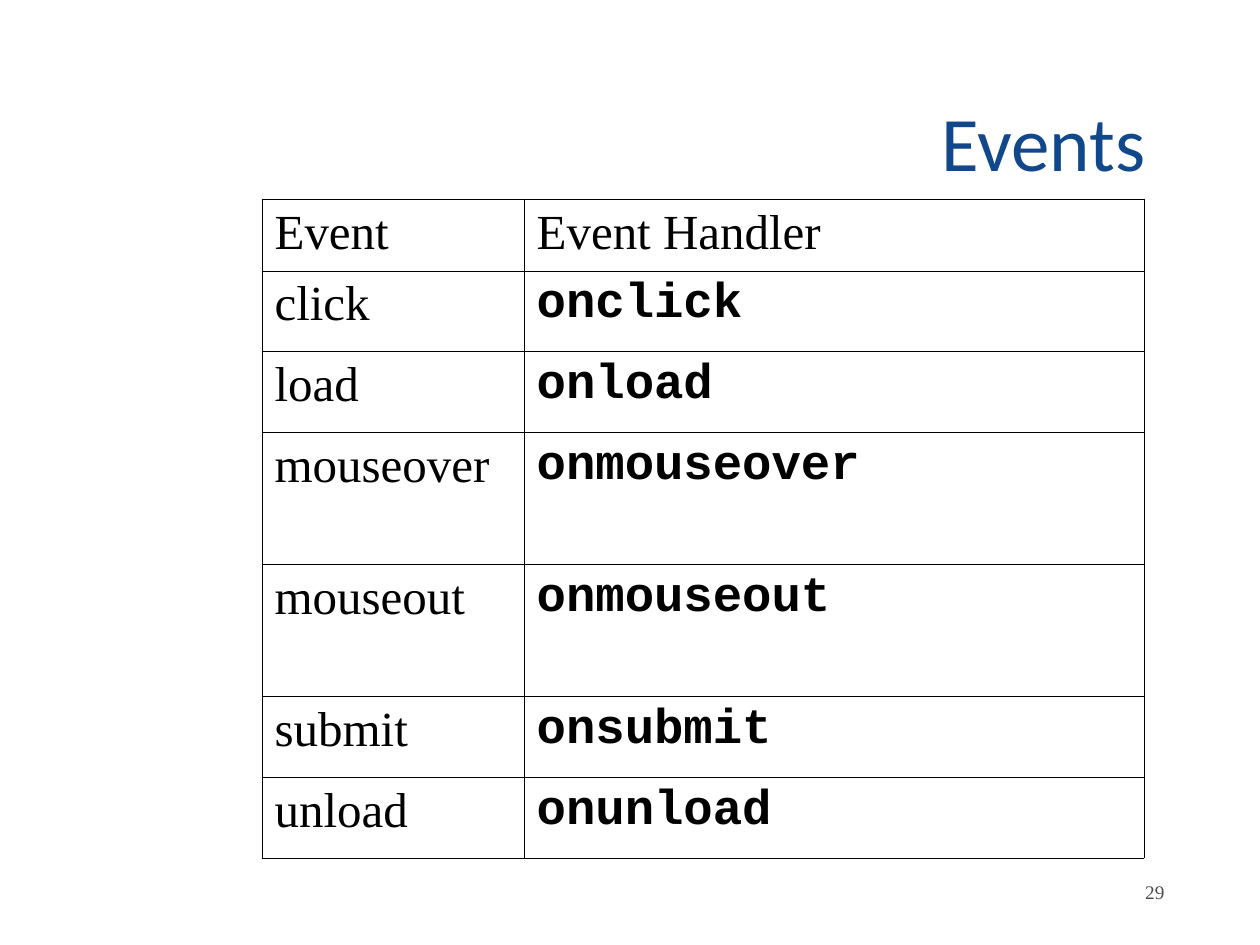
from dataclasses import dataclass

from lxml import etree
from pptx import Presentation
from pptx.dml.color import RGBColor
from pptx.enum import text
from pptx.oxml import ns
from pptx.util import Inches, Pt


@dataclass(frozen=True)
class Theme:
    title: RGBColor = RGBColor(0x11, 0x48, 0x8B)
    ink: RGBColor = RGBColor(0, 0, 0)
    muted: RGBColor = RGBColor(0x4D, 0x4D, 0x4D)
    sans: str = "Calibri"
    serif: str = "Times New Roman"
    mono: str = "Courier New"
    title_size: int = 44
    body_size: int = 28
    number_size: int = 11
    border: float = 0.45


THEME = Theme()
EVENTS = ["click", "load", "mouseover", "mouseout", "submit", "unload"]
COLUMN_WIDTHS = [2.08, 4.92]
HEADER_HEIGHT, ROW_HEIGHT, TALL_HEIGHT = 0.57, 0.64, 1.05
TALL_EVENTS = {"mouseover", "mouseout"}


def write(p, words, size, **font):
    r = p.add_run()
    r.text = words
    r.font.size = Pt(size)
    r.font.color.rgb = font.pop("color")
    for name, value in font.items():
        setattr(r.font, name, value)


def add_right_text(s, box, words, size, right_inset=0.1, **font):
    """Place one right-aligned line, vertically centred in its box."""
    tf = s.shapes.add_textbox(*map(Inches, box)).text_frame
    tf.word_wrap = True
    tf.vertical_anchor = text.MSO_ANCHOR.MIDDLE
    tf.margin_right = Inches(right_inset)
    p = tf.paragraphs[0]
    p.alignment = text.PP_ALIGN.RIGHT
    write(p, words, size, **font)


def add_borders(cell):
    """Line all four sides; borders must come before the cell's fill."""
    props = cell._tc.get_or_add_tcPr()
    for i, side in enumerate(("lnL", "lnR", "lnT", "lnB")):
        line = etree.Element(ns.qn(f"a:{side}"), w=str(Pt(THEME.border)))
        fill = etree.SubElement(line, ns.qn("a:solidFill"))
        etree.SubElement(fill, ns.qn("a:srgbClr"), val=str(THEME.ink))
        props.insert(i, line)


def add_event_table(s, box):
    rows = [("Event", "Event Handler")] + [(e, f"on{e}") for e in EVENTS]
    heights = [HEADER_HEIGHT] + [
        TALL_HEIGHT if e in TALL_EVENTS else ROW_HEIGHT for e in EVENTS]
    table = s.shapes.add_table(len(rows), 2, *map(Inches, box)).table
    table.first_row = table.horz_banding = False
    for column, width in zip(table.columns, COLUMN_WIDTHS):
        column.width = Inches(width)
    for i, (row, height) in enumerate(zip(rows, heights)):
        table.rows[i].height = Inches(height)
        for j, words in enumerate(row):
            cell = table.cell(i, j)
            cell.fill.background()
            add_borders(cell)
            is_code = i > 0 and j == 1
            write(cell.text_frame.paragraphs[0], words, THEME.body_size,
                  name=THEME.mono if is_code else THEME.serif,
                  bold=is_code, color=THEME.ink)


def main():
    prs = Presentation()
    prs.slide_width, prs.slide_height = Inches(10), Inches(7.5)
    s = prs.slides.add_slide(prs.slide_layouts[6])
    add_right_text(s, (2.33, 0.33, 7, 1.58), "Events", THEME.title_size,
                   right_inset=0.24, name=THEME.sans, color=THEME.title)
    add_event_table(s, (2.08, 1.58, 7, 5.23))
    add_right_text(s, (7.92, 6.83, 1.42, 0.5), "29", THEME.number_size,
                   name=THEME.serif, color=THEME.muted)
    prs.save("out.pptx")


if __name__ == "__main__":
    main()
